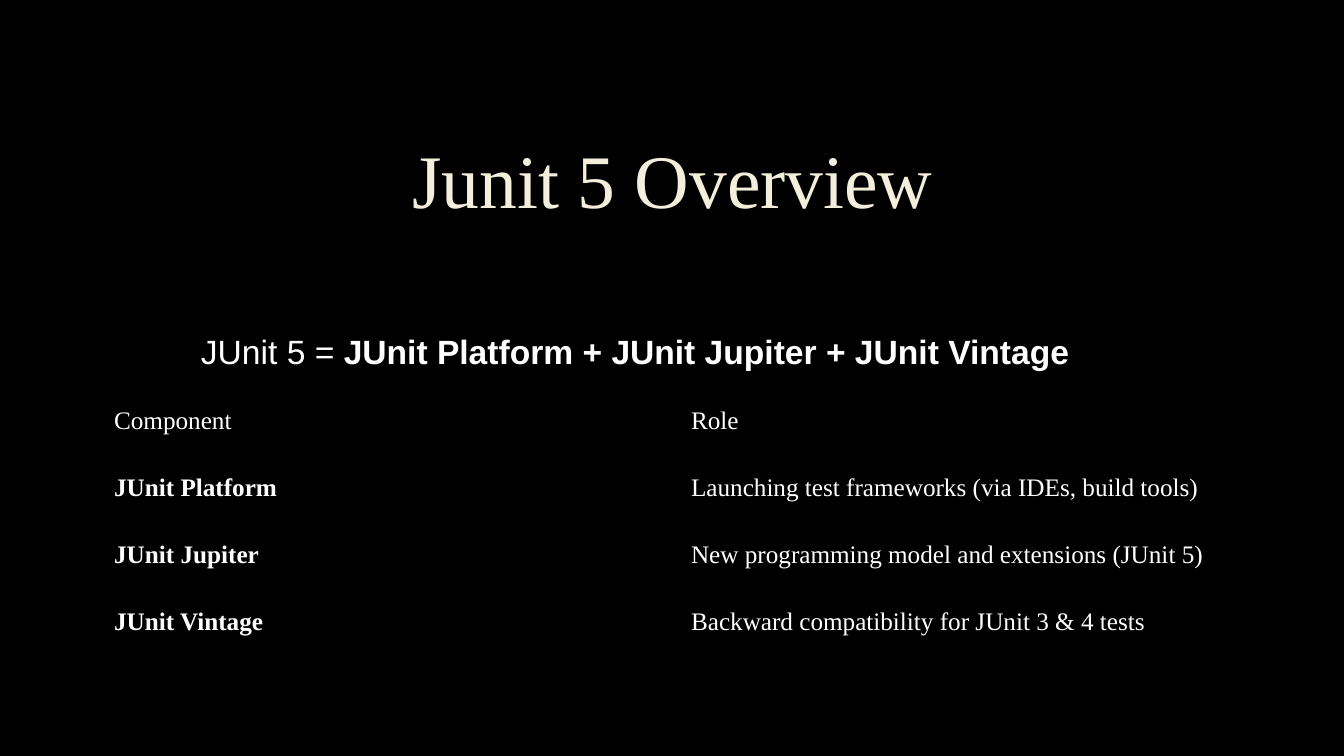
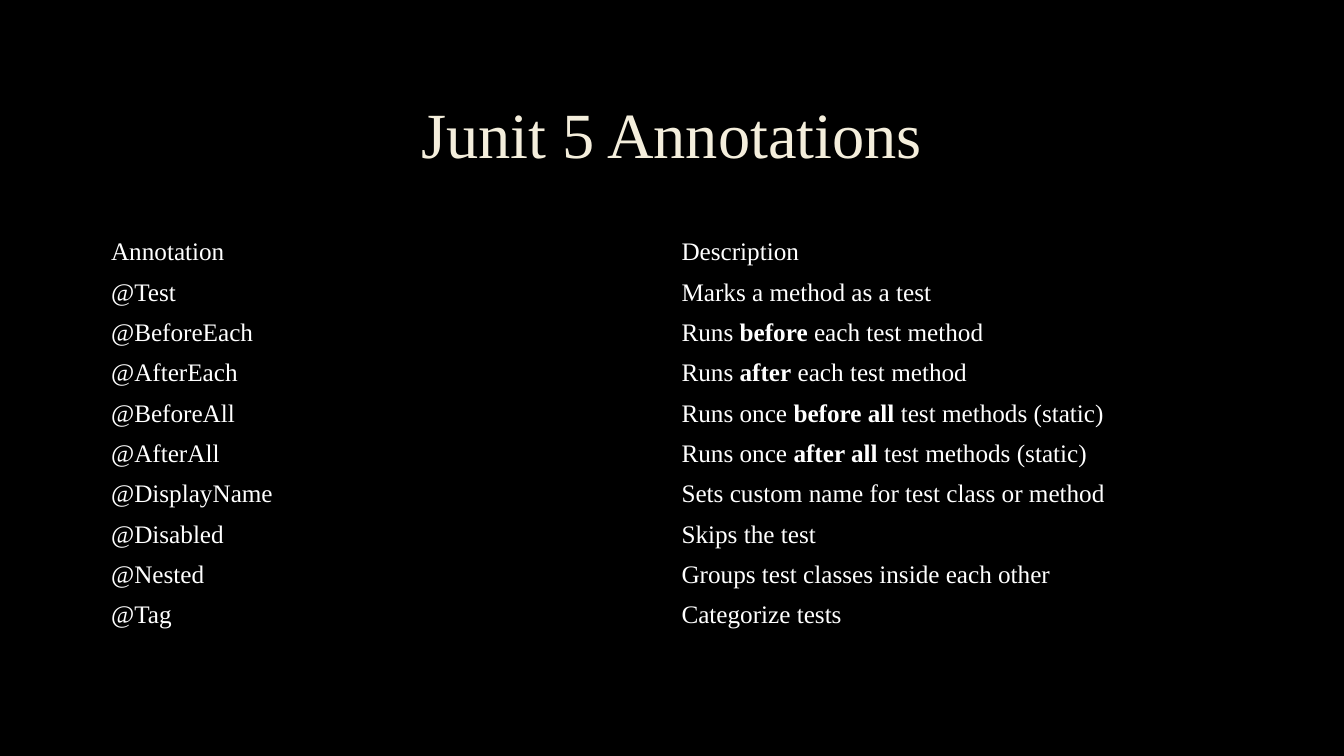
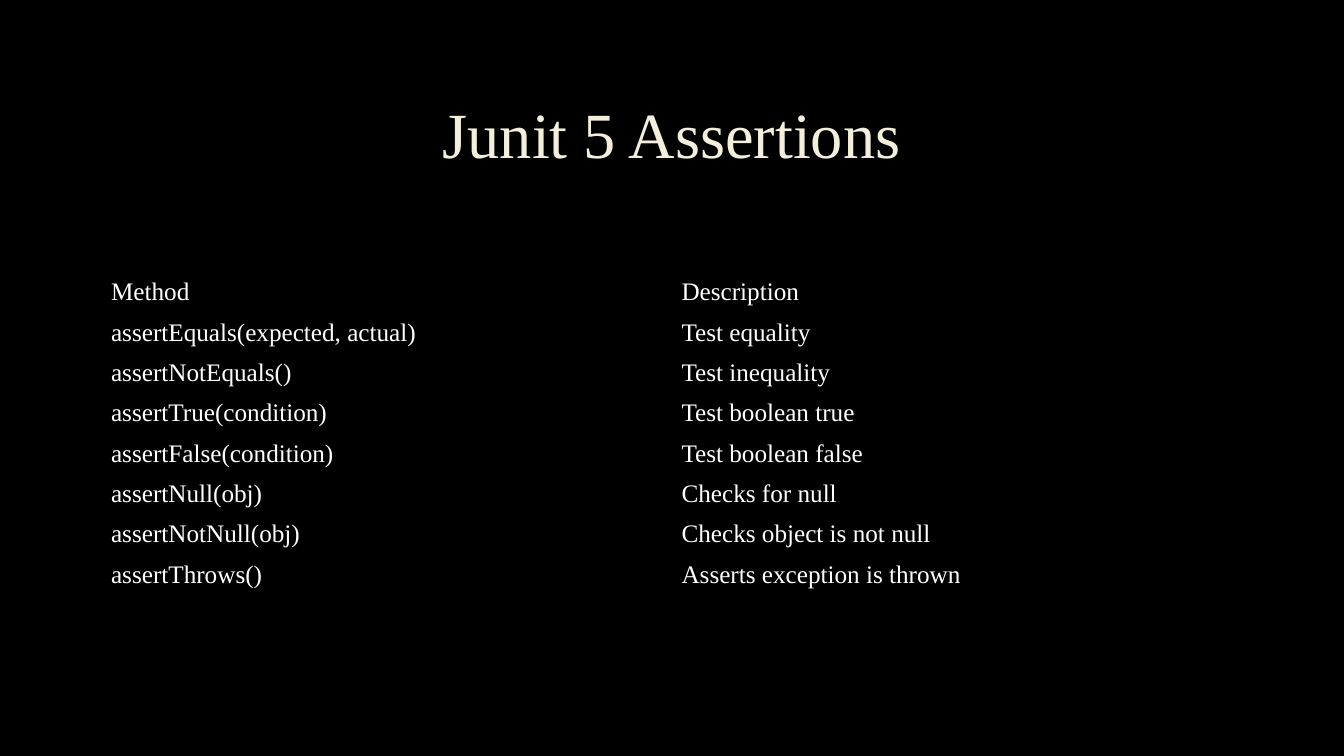
"""Build three slides on JUnit 5: overview, annotations and assertions."""
import pptx
import pptx.dml.color
import pptx.enum.text
import pptx.oxml.ns
import pptx.util

SLIDE_SIZE = (1344, 756)
EMU_PER_PX = 12192000 / 1344
BLACK, WHITE, CREAM = "000000", "FFFFFF", "F4EEDC"
SERIF, SANS = "Times New Roman", "Arial"
NO_GRID_STYLE = "{2D5ABB26-0587-4C30-8999-92F81FD0307C}"
BOLD_MARK = "**"
TITLE_BOX = (101, 68, 1141, 139)

OVERVIEW = [
    ("Component", "Role"),
    ("**JUnit Platform**", "Launching test frameworks (via IDEs, build tools)"),
    ("**JUnit Jupiter**", "New programming model and extensions (JUnit 5)"),
    ("**JUnit Vintage**", "Backward compatibility for JUnit 3 & 4 tests"),
]
ANNOTATIONS = [
    ("Annotation", "Description"),
    ("@Test", "Marks a method as a test"),
    ("@BeforeEach", "Runs **before** each test method"),
    ("@AfterEach", "Runs **after** each test method"),
    ("@BeforeAll", "Runs once **before all** test methods (static)"),
    ("@AfterAll", "Runs once **after all** test methods (static)"),
    ("@DisplayName", "Sets custom name for test class or method"),
    ("@Disabled", "Skips the test"),
    ("@Nested", "Groups test classes inside each other"),
    ("@Tag", "Categorize tests"),
]
ASSERTIONS = [
    ("Method", "Description"),
    ("assertEquals(expected, actual)", "Test equality"),
    ("assertNotEquals()", "Test inequality"),
    ("assertTrue(condition)", "Test boolean true"),
    ("assertFalse(condition)", "Test boolean false"),
    ("assertNull(obj)", "Checks for null"),
    ("assertNotNull(obj)", "Checks object is not null"),
    ("assertThrows()", "Asserts exception is thrown"),
]


def px(length):
    """Turn pixels into EMU."""
    return pptx.util.Emu(round(length * EMU_PER_PX))


def color(value):
    """Turn a hex string into a colour."""
    return pptx.dml.color.RGBColor.from_string(value)


def write(para, text, size, font=SERIF, ink=WHITE):
    """Write text into a paragraph, with marked stretches in bold."""
    para.font.size = pptx.util.Pt(size)
    para.font.name = font
    para.font.color.rgb = color(ink)
    for index, stretch in enumerate(text.split(BOLD_MARK)):
        if stretch:
            span = para.add_run()
            span.text = stretch
            if index % 2:
                span.font.bold = True


def add_page(deck):
    """Add a blank slide with a black background."""
    page = deck.slides.add_slide(deck.slide_layouts[6])
    page.background.fill.solid()
    page.background.fill.fore_color.rgb = color(BLACK)
    return page


def add_text(page, box, text, size, anchor, **style):
    """Add a wrapped text box and return its paragraph."""
    frame = page.shapes.add_textbox(*map(px, box)).text_frame
    frame.word_wrap = True
    frame.vertical_anchor = anchor
    para = frame.paragraphs[0]
    write(para, text, size, **style)
    return para


def add_title(page, text, box=TITLE_BOX, size=46):
    """Add the centred cream title."""
    para = add_text(page, box, text, size, pptx.enum.text.MSO_ANCHOR.MIDDLE, ink=CREAM)
    para.alignment = pptx.enum.text.PP_ALIGN.CENTER
    para.line_spacing = 0.9


def add_grid(page, box, rows):
    """Add a plain table whose rows and columns share the box equally."""
    table = page.shapes.add_table(len(rows), len(rows[0]), *map(px, box)).table
    table.first_row = table.horz_banding = False
    style = table._tbl.tblPr.find(pptx.oxml.ns.qn("a:tableStyleId"))
    style.text = NO_GRID_STYLE
    for cell, text in zip(table.iter_cells(), (text for row in rows for text in row)):
        cell.fill.background()
        cell.vertical_anchor = pptx.enum.text.MSO_ANCHOR.MIDDLE
        write(cell.text_frame.paragraphs[0], text, 18)


def main():
    """Build and save the deck."""
    deck = pptx.Presentation()
    deck.slide_width, deck.slide_height = map(px, SLIDE_SIZE)

    page = add_page(deck)
    add_title(page, "Junit 5 Overview", (104, 103, 1137, 163), 54)
    add_grid(page, (104, 388, 1154, 267), OVERVIEW)
    add_text(page, (191, 326, 907, 92),
             "JUnit 5 = **JUnit Platform + JUnit Jupiter + JUnit Vintage**",
             24, pptx.enum.text.MSO_ANCHOR.TOP, font=SANS)

    for title, box, rows in (
        ("Junit 5 Annotations", (101, 232, 1141, 403), ANNOTATIONS),
        ("Junit 5 Assertions", (101, 272, 1141, 323), ASSERTIONS),
    ):
        page = add_page(deck)
        add_title(page, title)
        add_grid(page, box, rows)

    deck.save("out.pptx")


if __name__ == "__main__":
    main()
